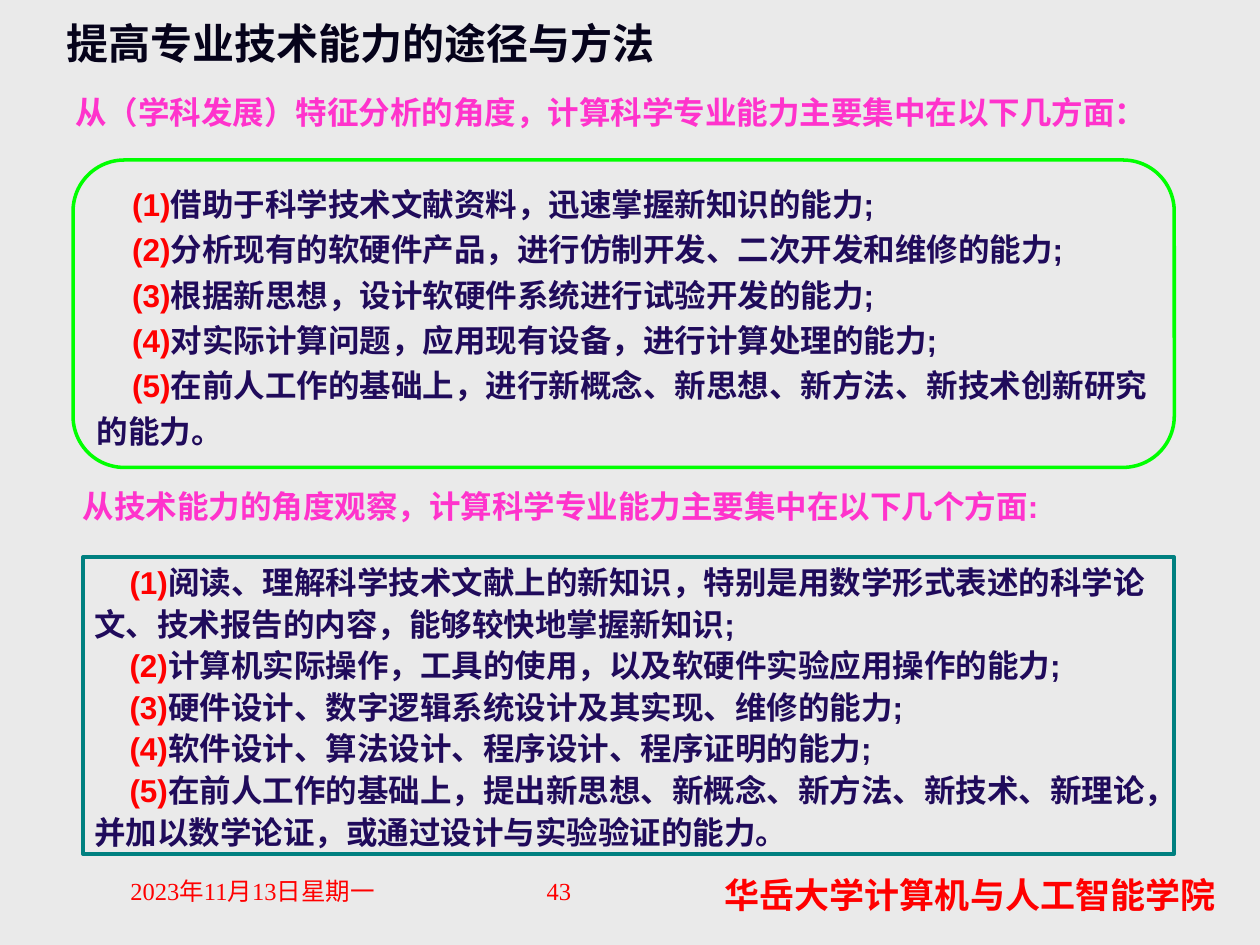
from dataclasses import dataclass

from lxml import etree
from pptx import Presentation
from pptx.dml.color import RGBColor
from pptx.enum.shapes import MSO_SHAPE
from pptx.enum.text import MSO_AUTO_SIZE, PP_ALIGN
from pptx.oxml.ns import qn
from pptx.util import Inches, Pt

LEFT, CENTER = PP_ALIGN.LEFT, PP_ALIGN.CENTER
FIT_SHAPE = MSO_AUTO_SIZE.SHAPE_TO_FIT_TEXT
RECTANGLE, ROUNDED = MSO_SHAPE.RECTANGLE, MSO_SHAPE.ROUNDED_RECTANGLE

BACKGROUND = RGBColor(0xEA, 0xEA, 0xEA)
RED = RGBColor(0xFF, 0x00, 0x00)
INK = RGBColor(0x06, 0x03, 0x1B)
INDIGO = RGBColor(0x20, 0x0B, 0x5B)
PINK = RGBColor(0xFF, 0x33, 0xCC)
GREEN = RGBColor(0x00, 0xFF, 0x00)
TEAL = RGBColor(0x00, 0x80, 0x80)

ARIAL, TIMES, CJK = "Arial", "Times New Roman", "Noto Sans CJK SC"
BODY_SIZE = 18
NUMBER_INDENT = Inches(0.28)


@dataclass
class Box:
    left: float
    top: float
    width: float
    height: float


@dataclass
class Label:
    text: str
    box: Box
    size: int
    color: RGBColor
    font: str = ARIAL
    bold: bool = True
    align: int = LEFT
    wrap: bool = False


@dataclass
class Abilities:
    """A numbered list; each item is given as its lines."""
    box: Box
    line_spacing: float
    items: list[list[str]]


@dataclass
class Frame:
    preset: int
    box: Box
    color: RGBColor


LABELS = [
    Label("43", Box(3.27, 6.9, 2.33, 0.39), 14, RED, TIMES, False, CENTER, True),
    Label("2023年11月13日星期一", Box(0.43, 6.9, 3.15, 0.36), 14, RED, TIMES, False, CENTER, True),
    Label("华岳大学计算机与人工智能学院", Box(5.63, 6.88, 4.14, 0.44), 20, RED, CJK, True, CENTER, True),
    Label("提高专业技术能力的途径与方法", Box(0.43, 0.09, 5.13, 0.5), 24, INK),
    Label("从（学科发展）特征分析的角度，计算科学专业能力主要集中在以下几方面：",
          Box(0.5, 0.69, 8.84, 0.4), BODY_SIZE, PINK),
    Label("从技术能力的角度观察，计算科学专业能力主要集中在以下几个方面:",
          Box(0.56, 3.82, 7.91, 0.4), BODY_SIZE, PINK),
]

FRAMES = [
    Frame(ROUNDED, Box(0.58, 1.27, 8.74, 2.44), GREEN),
    Frame(RECTANGLE, Box(0.66, 4.42, 8.66, 2.36), TEAL),
]

LISTS = [
    Abilities(Box(0.67, 1.36, 8.67, 2.28), 1.2, [
        ["借助于科学技术文献资料，迅速掌握新知识的能力;"],
        ["分析现有的软硬件产品，进行仿制开发、二次开发和维修的能力;"],
        ["根据新思想，设计软硬件系统进行试验开发的能力;"],
        ["对实际计算问题，应用现有设备，进行计算处理的能力;"],
        ["在前人工作的基础上，进行新概念、新思想、新方法、新技术创新研究", "的能力。"],
    ]),
    Abilities(Box(0.65, 4.39, 8.93, 2.43), 1.1, [
        ["阅读、理解科学技术文献上的新知识，特别是用数学形式表述的科学论",
         "文、技术报告的内容，能够较快地掌握新知识;"],
        ["计算机实际操作，工具的使用，以及软硬件实验应用操作的能力;"],
        ["硬件设计、数字逻辑系统设计及其实现、维修的能力;"],
        ["软件设计、算法设计、程序设计、程序证明的能力;"],
        ["在前人工作的基础上，提出新思想、新概念、新方法、新技术、新理论，",
         "并加以数学论证，或通过设计与实验验证的能力。"],
    ]),
]


def place(box: Box) -> tuple:
    return Inches(box.left), Inches(box.top), Inches(box.width), Inches(box.height)


def format_run(run, size: int, color: RGBColor, font: str = ARIAL, bold: bool = True) -> None:
    run.font.size = Pt(size)
    run.font.bold = bold
    run.font.name = font
    run.font.color.rgb = color
    east_asian = etree.SubElement(run.font._element, qn("a:ea"))
    east_asian.set("typeface", CJK)


def add_text_frame(slide, box: Box, wrap: bool = False):
    text_frame = slide.shapes.add_textbox(*place(box)).text_frame
    text_frame.word_wrap = wrap
    if not wrap:
        text_frame.auto_size = FIT_SHAPE
    return text_frame


def add_label(slide, label: Label) -> None:
    text_frame = add_text_frame(slide, label.box, label.wrap)
    text_frame.text = label.text
    paragraph = text_frame.paragraphs[0]
    paragraph.alignment = label.align
    format_run(paragraph.runs[0], label.size, label.color, label.font, label.bold)


def add_abilities(slide, abilities: Abilities) -> None:
    text_frame = add_text_frame(slide, abilities.box)
    for number, lines in enumerate(abilities.items, start=1):
        paragraph = text_frame.paragraphs[0] if number == 1 else text_frame.add_paragraph()
        paragraph.line_spacing = abilities.line_spacing
        paragraph._p.get_or_add_pPr().set("indent", str(NUMBER_INDENT))
        paragraph.text = f"({number})"
        format_run(paragraph.runs[0], BODY_SIZE, RED)
        for index, line in enumerate(lines):
            if index:
                paragraph.add_line_break()
            run = paragraph.add_run()
            run.text = line
            format_run(run, BODY_SIZE, INDIGO)


def add_frame(slide, frame: Frame) -> None:
    shape = slide.shapes.add_shape(frame.preset, *place(frame.box))
    shape.shadow.inherit = False
    shape.fill.background()
    shape.line.color.rgb = frame.color
    shape.line.width = Pt(2)


def main() -> None:
    presentation = Presentation()
    presentation.slide_width, presentation.slide_height = Inches(10), Inches(7.5)
    slide = presentation.slides.add_slide(presentation.slide_layouts[6])
    slide.background.fill.solid()
    slide.background.fill.fore_color.rgb = BACKGROUND
    for label in LABELS:
        add_label(slide, label)
    for abilities in LISTS:
        add_abilities(slide, abilities)
    for frame in FRAMES:
        add_frame(slide, frame)
    presentation.save("out.pptx")


if __name__ == "__main__":
    main()
